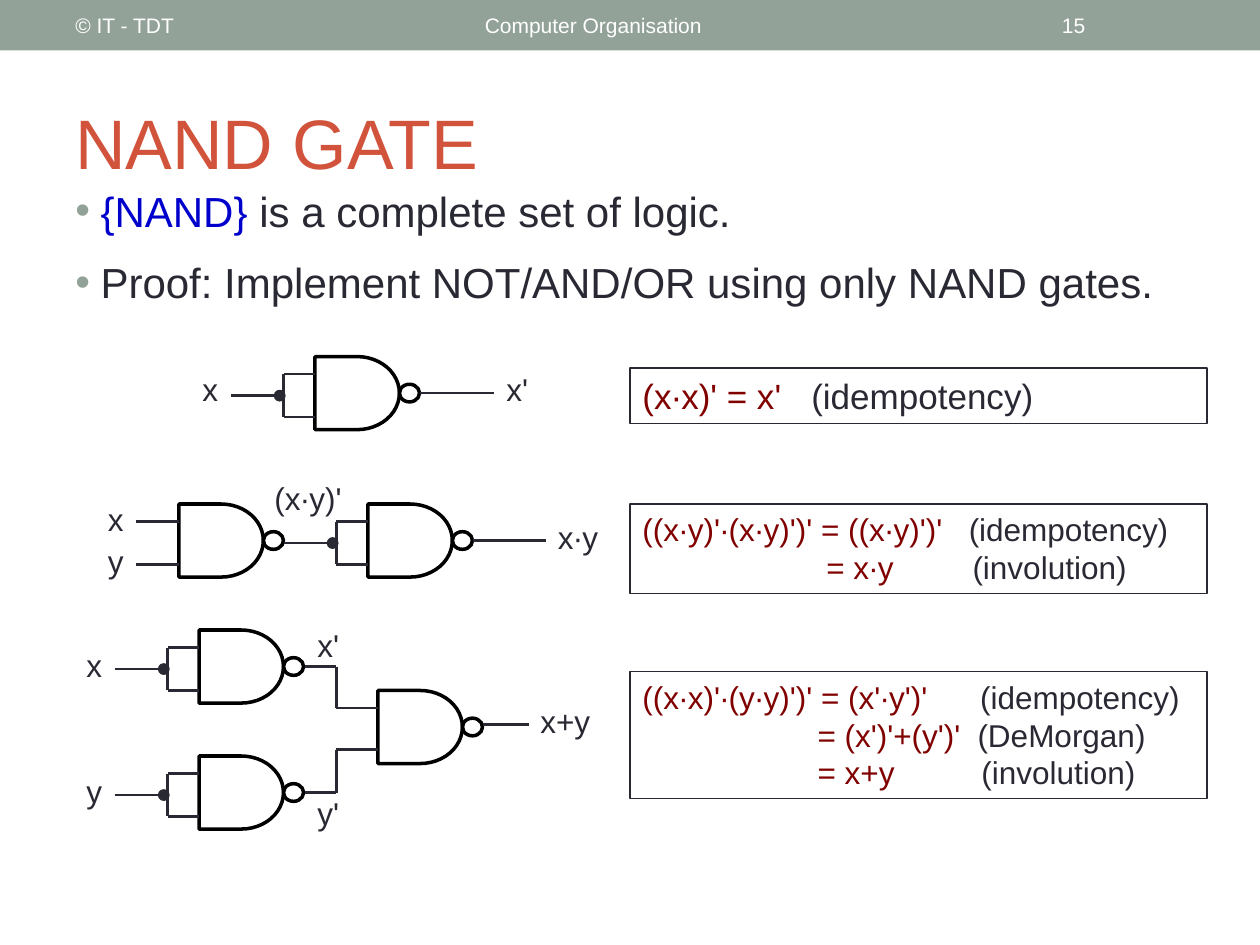
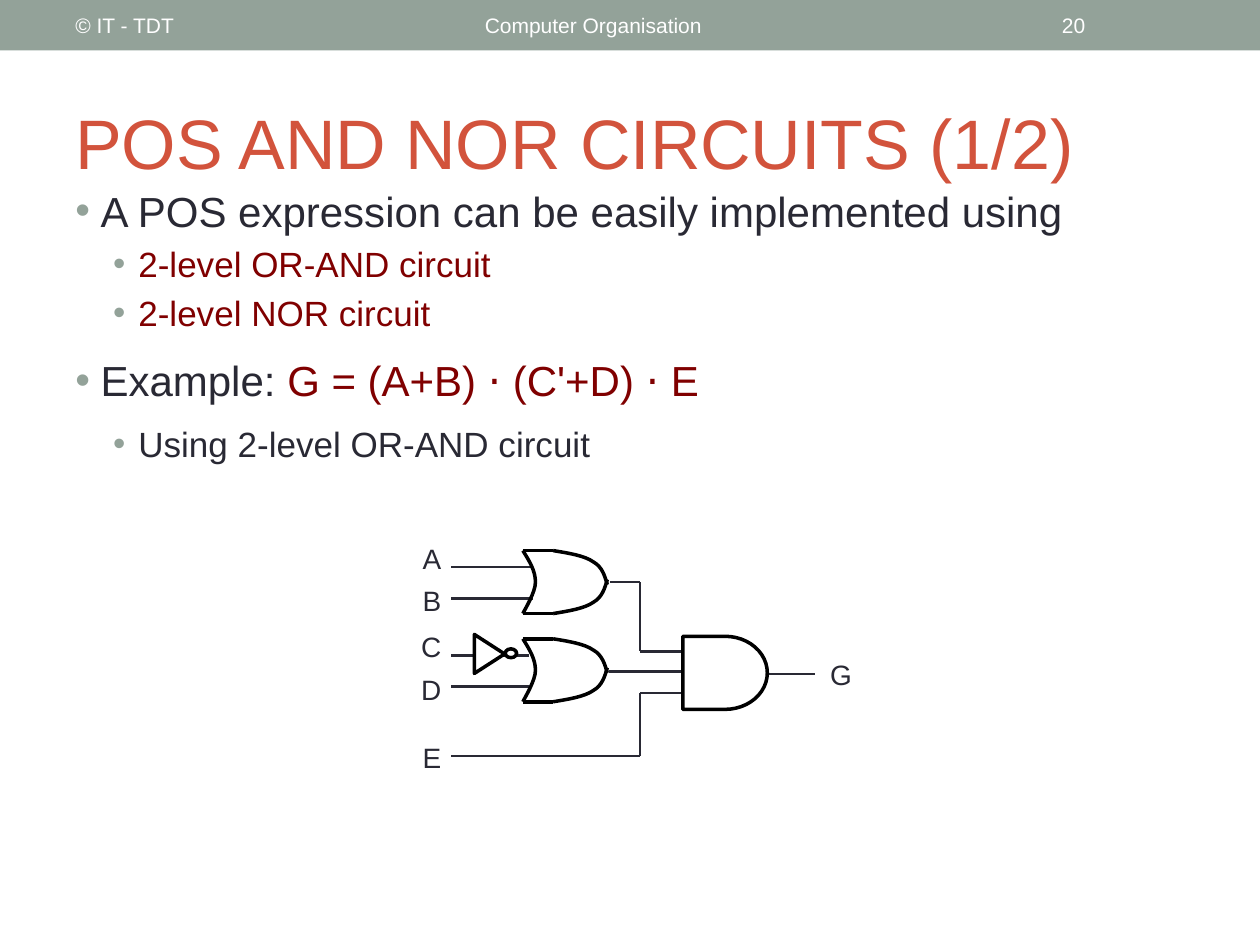
import pptx
import pptx.util
import pptx.dml.color
import pptx.enum.shapes
import pptx.enum.text
from lxml import etree

Inches, Pt = pptx.util.Inches, pptx.util.Pt
RGBColor = pptx.dml.color.RGBColor
SHAPE = pptx.enum.shapes.MSO_SHAPE
ANCHOR = pptx.enum.text.MSO_ANCHOR
ALIGN = pptx.enum.text.PP_ALIGN
qn = pptx.oxml.ns.qn
FONT = "Arial"

SAGE = RGBColor(0x93, 0xA2, 0x99)
RUST = RGBColor(0xD2, 0x53, 0x3C)
INK = RGBColor(0x29, 0x29, 0x34)
MAROON = RGBColor(0x80, 0x00, 0x00)
BLUE = RGBColor(0x00, 0x00, 0xCC)
WHITE = RGBColor(0xFF, 0xFF, 0xFF)
BLACK = RGBColor(0, 0, 0)

# ---- Content: runs are (text, colour); bullets are (level, space before, runs)
FOOTER, COURSE = "© IT - TDT", "Computer Organisation"

NAND = {
    "number": "15", "title": "NAND GATE", "body_height": 1.33,
    "bullets": [
        (0, 0, [("{NAND} ", BLUE), ("is a complete set of logic.", INK)]),
        (0, 12, [("Proof: Implement NOT/AND/OR using only NAND gates.", INK)]),
    ],
}
POS = {
    "number": "20", "title": "POS AND NOR CIRCUITS (1/2)", "body_height": 5.42,
    "bullets": [
        (0, 0, [("A POS expression can be easily implemented using", INK)]),
        (1, 4, [("2-level OR-AND circuit", MAROON)]),
        (1, 4, [("2-level NOR circuit", MAROON)]),
        (0, 12, [("Example:", INK), (" G = (A+B) ⋅ (C'+D) ⋅ E", MAROON)]),
        (1, 10, [("Using 2-level OR-AND circuit", INK)]),
    ],
}
# top, height, text size, lines of (formula, law, tab stops)
PROOFS = [
    (2.92, 0.44, 20, [("(x∙x)' = x'", "(idempotency)", [1.34])]),
    (4, 0.71, 18, [
        ("((x∙y)'∙(x∙y)')' = ((x∙y)')'", "(idempotency)", [2.59]),
        ("\t= x∙y", "(involution)", [1.46, 2.62])]),
    (5.33, 1.01, 18, [
        ("((x∙x)'∙(y∙y)')' = (x'∙y')'", "(idempotency)", [2.68]),
        ("\t= (x')'+(y')'", "(DeMorgan)", [1.39, 2.66]),
        ("\t= x+y", "(involution)", [1.39, 2.69])]),
]
# One list per circuit: text, left, top, width, alignment
NAND_LABELS = [
    [("x", 1.5, 2.89, 0.33, ALIGN.RIGHT), ("x'", 3.92, 2.89, 0.5, ALIGN.LEFT)],
    [("x", 0.75, 3.92, 0.33, ALIGN.RIGHT), ("y", 0.75, 4.25, 0.33, ALIGN.RIGHT),
     ("(x∙y)'", 2.08, 3.75, 0.75, ALIGN.LEFT), ("x∙y", 4.33, 4.06, 0.58, ALIGN.LEFT)],
    [("x", 0.58, 5.08, 0.33, ALIGN.RIGHT), ("y", 0.58, 6.08, 0.33, ALIGN.RIGHT),
     ("x'", 2.42, 4.92, 0.42, ALIGN.LEFT), ("y'", 2.42, 6.25, 0.42, ALIGN.LEFT),
     ("x+y", 4.19, 5.52, 0.67, ALIGN.LEFT)],
]
POS_INPUTS = [("A", 4.25), ("B", 4.58), ("C", 4.95), ("D", 5.29), ("E", 5.83)]

# ---- Gate geometry, relative to a gate's top left corner
GATE_W, GATE_H = 0.67, 0.58
IN_TOP, IN_BOTTOM, OUT = 0.14, 0.48, 0.29
OR_H = 0.5
OR_BACK = [(0, 0), (0.05, 0.08), (0.1, 0.16), (0.1, 0.25),
           (0.1, 0.33), (0.02, 0.46), (0, 0.5)]
OR_TOP = [(0.24, 0), (0.36, 0.02), (0.49, 0.04), (0.56, 0.09),
          (0.63, 0.13), (0.65, 0.2), (0.67, 0.27)]
OR_BOTTOM = [(dx, OR_H - dy) for dx, dy in OR_TOP]


# ---- Text
def add_child(parent, tag, **attributes):
    return etree.SubElement(parent, qn(tag), attributes)


def write(paragraph, runs, *, size, align=ALIGN.LEFT, before=0, level=None, tabs=()):
    paragraph.alignment = align
    paragraph.space_before = Pt(before)
    for text, color in runs:
        run = paragraph.add_run()
        run.text = text
        run.font.name, run.font.size = FONT, Pt(size)
        run.font.color.rgb = color
    pPr = paragraph._p.get_or_add_pPr()
    if level is not None:
        paragraph.level = level
        pPr.set("marL", str(Inches(0.2 + 0.3 * level)))
        pPr.set("indent", str(Inches(-0.2)))
        add_child(add_child(pPr, "a:buClr"), "a:srgbClr", val=str(SAGE))
        add_child(pPr, "a:buFont", typeface=FONT)
        add_child(pPr, "a:buChar", char="•")
    if tabs:
        tab_list = add_child(pPr, "a:tabLst")
        for stop in tabs:
            add_child(tab_list, "a:tab", pos=str(Inches(stop)), algn="l")


def next_paragraph(frame, index):
    return frame.add_paragraph() if index else frame.paragraphs[0]


def add_box(shapes, left, top, width, height, anchor=ANCHOR.TOP):
    frame = shapes.add_textbox(*map(Inches, (left, top, width, height))).text_frame
    frame.word_wrap = True
    frame.vertical_anchor = anchor
    return frame


def add_label(shapes, text, left, top, width, align, size):
    frame = add_box(shapes, left, top, width, 0.4 if size == 18 else 0.37)
    frame.auto_size = pptx.enum.text.MSO_AUTO_SIZE.SHAPE_TO_FIT_TEXT
    write(frame.paragraphs[0], [(text, INK)], size=size, align=align)


# ---- Drawing
def outline(shape, fill, color, weight):
    shape.shadow.inherit = False
    if fill is None:
        shape.fill.background()
    else:
        shape.fill.solid()
        shape.fill.fore_color.rgb = fill
    if color is None:
        shape.line.fill.background()
    else:
        shape.line.color.rgb = color
        shape.line.width = Pt(weight)


def add_part(shapes, kind, left, top, width, height, fill=None, color=BLACK, weight=2):
    part = shapes.add_shape(kind, *map(Inches, (left, top, width, height)))
    outline(part, fill, color, weight)
    return part


def add_wire(shapes, *points, color=INK, weight=1.5):
    """Draw straight segments through the points."""
    for start, end in zip(points, points[1:]):
        wire = shapes.add_connector(pptx.enum.shapes.MSO_CONNECTOR.STRAIGHT,
                                    *map(Inches, start + end))
        wire.line.color.rgb = color
        wire.line.width = Pt(weight)
        add_child(wire._element.spPr, "a:effectLst")


def add_curve(shapes, x, y, controls):
    """Trace chained cubic curves whose control points are relative to x, y."""
    emu = [(Inches(x + dx), Inches(y + dy)) for dx, dy in controls]
    builder = shapes.build_freeform(*emu[0])
    builder.add_line_segments(emu[1:], close=False)
    curve = builder.convert_to_shape()
    outline(curve, None, BLACK, 2)

    # Turn every three line segments into one cubic segment
    outline_path = next(curve._element.iter(qn("a:path")))
    segments = outline_path.findall(qn("a:lnTo"))
    for first in range(0, len(segments), 3):
        cubic = add_child(outline_path, "a:cubicBezTo")
        for segment in segments[first:first + 3]:
            cubic.append(segment[0])
            outline_path.remove(segment)


def add_and(shapes, x, y):
    add_part(shapes, SHAPE.FLOWCHART_DELAY, x, y, GATE_W, GATE_H)


def add_nand(shapes, x, y, tied=False):
    add_and(shapes, x, y)
    add_part(shapes, SHAPE.OVAL, x + GATE_W, y + 0.22, 0.16, 0.14)
    if tied:
        joint, lead_y = x - 0.25, y + 0.31
        add_wire(shapes, (x - 0.67, lead_y), (joint, lead_y))
        add_wire(shapes, (x, y + IN_TOP), (joint, y + IN_TOP),
                 (joint, y + IN_BOTTOM), (x, y + IN_BOTTOM))
        add_part(shapes, SHAPE.OVAL, joint - 0.07, y + 0.27, 0.08, 0.08, INK, INK, 1)


def add_or(shapes, x, y):
    for controls in (OR_BACK, OR_TOP, OR_BOTTOM):
        add_curve(shapes, x, y, controls)
    for edge in (y, y + OR_H):
        add_wire(shapes, (x, edge), (x + 0.24, edge), color=BLACK, weight=2)


# ---- Slides
def add_slide(deck, content):
    slide = deck.slides.add_slide(deck.slide_layouts[6])
    shapes = slide.shapes
    add_part(shapes, SHAPE.RECTANGLE, 0, 0, 10, 0.4, SAGE, None)
    for text, left, width in ((FOOTER, 0.5, 3.17), (COURSE, 3.75, 4.5),
                              (content["number"], 8.33, 1.17)):
        band_text = add_box(shapes, left, 0.02, width, 0.36, ANCHOR.MIDDLE)
        write(band_text.paragraphs[0], [(text, WHITE)], size=12)
    title = add_box(shapes, 0.5, 0.58, 9, 1.08, ANCHOR.MIDDLE)
    write(title.paragraphs[0], [(content["title"], RUST)], size=40)
    body = add_box(shapes, 0.5, 1.42, 9, content["body_height"])
    for index, (level, before, runs) in enumerate(content["bullets"]):
        write(next_paragraph(body, index), runs, size=24 - 4 * level,
              before=before, level=level)
    return shapes


def add_proof(shapes, top, height, size, lines):
    frame = add_part(shapes, SHAPE.RECTANGLE, 5, top, 4.58, height,
                     None, INK, 0.75).text_frame
    frame.word_wrap = True
    frame.vertical_anchor = ANCHOR.TOP
    for index, (formula, law, tabs) in enumerate(lines):
        write(next_paragraph(frame, index), [(formula, MAROON), ("\t" + law, INK)],
              size=size, tabs=tabs)


def draw_nand_slide(deck):
    shapes = add_slide(deck, NAND)
    circuits = [shapes.add_group_shape().shapes for _ in NAND_LABELS]
    not_circuit, and_circuit, or_circuit = circuits

    # NOT: one tied gate
    add_nand(not_circuit, 2.5, 2.83, tied=True)
    add_wire(not_circuit, (3.33, 3.12), (3.92, 3.12))

    # AND: a gate followed by a tied gate
    add_nand(and_circuit, 1.42, 4)
    add_nand(and_circuit, 2.92, 4, tied=True)
    for input_y in (4 + IN_TOP, 4 + IN_BOTTOM):
        add_wire(and_circuit, (1.08, input_y), (1.42, input_y))
    add_wire(and_circuit, (3.75, 4 + OUT), (4.33, 4 + OUT))

    # OR: two tied gates feeding a third
    add_nand(or_circuit, 3, 5.48)
    for gate_y, input_y in ((5, 5.48 + IN_TOP), (6, 5.47 + IN_BOTTOM)):
        add_nand(or_circuit, 1.58, gate_y, tied=True)
        add_wire(or_circuit, (2.42, gate_y + OUT), (2.67, gate_y + OUT),
                 (2.67, input_y), (3, input_y))
    add_wire(or_circuit, (3.83, 5.75), (4.2, 5.75))

    for circuit, labels in zip(circuits, NAND_LABELS):
        for label in labels:
            add_label(circuit, *label, size=18)
    for proof in PROOFS:
        add_proof(shapes, *proof)


def draw_pos_slide(deck):
    circuit = add_slide(deck, POS).add_group_shape().shapes

    # Input wires and the wires into the AND gate
    for input_y, end in ((4.5, 4.23), (4.75, 4.23), (5.2, 4.2), (5.45, 4.2)):
        add_wire(circuit, (3.58, input_y), (end, input_y))
    add_wire(circuit, (4.84, 4.62), (5.08, 4.62), (5.08, 5.17), (5.41, 5.17))
    add_wire(circuit, (4.83, 5.33), (5.42, 5.33))
    add_wire(circuit, (3.58, 6), (5.08, 6), (5.08, 5.5), (5.41, 5.5))
    add_wire(circuit, (6.1, 5.35), (6.47, 5.35))

    # Gates, with an inverter on C
    for gate_y in (4.37, 5.07):
        add_or(circuit, 4.15, gate_y)
    add_and(circuit, 5.42, 5.05)
    inverter = add_part(circuit, SHAPE.FLOWCHART_MERGE, 3.73, 5.07, 0.31, 0.24, WHITE)
    inverter.rotation = 270
    add_part(circuit, SHAPE.OVAL, 4.01, 5.15, 0.09, 0.07, WHITE)

    for text, top in POS_INPUTS:
        add_label(circuit, text, 3.18, top, 0.42, ALIGN.RIGHT, size=16)
    add_label(circuit, "G", 6.49, 5.17, 0.39, ALIGN.LEFT, size=16)


def main():
    deck = pptx.Presentation()
    deck.slide_width, deck.slide_height = Inches(10), Inches(7.5)
    draw_nand_slide(deck)
    draw_pos_slide(deck)
    deck.save("out.pptx")


if __name__ == "__main__":
    main()
